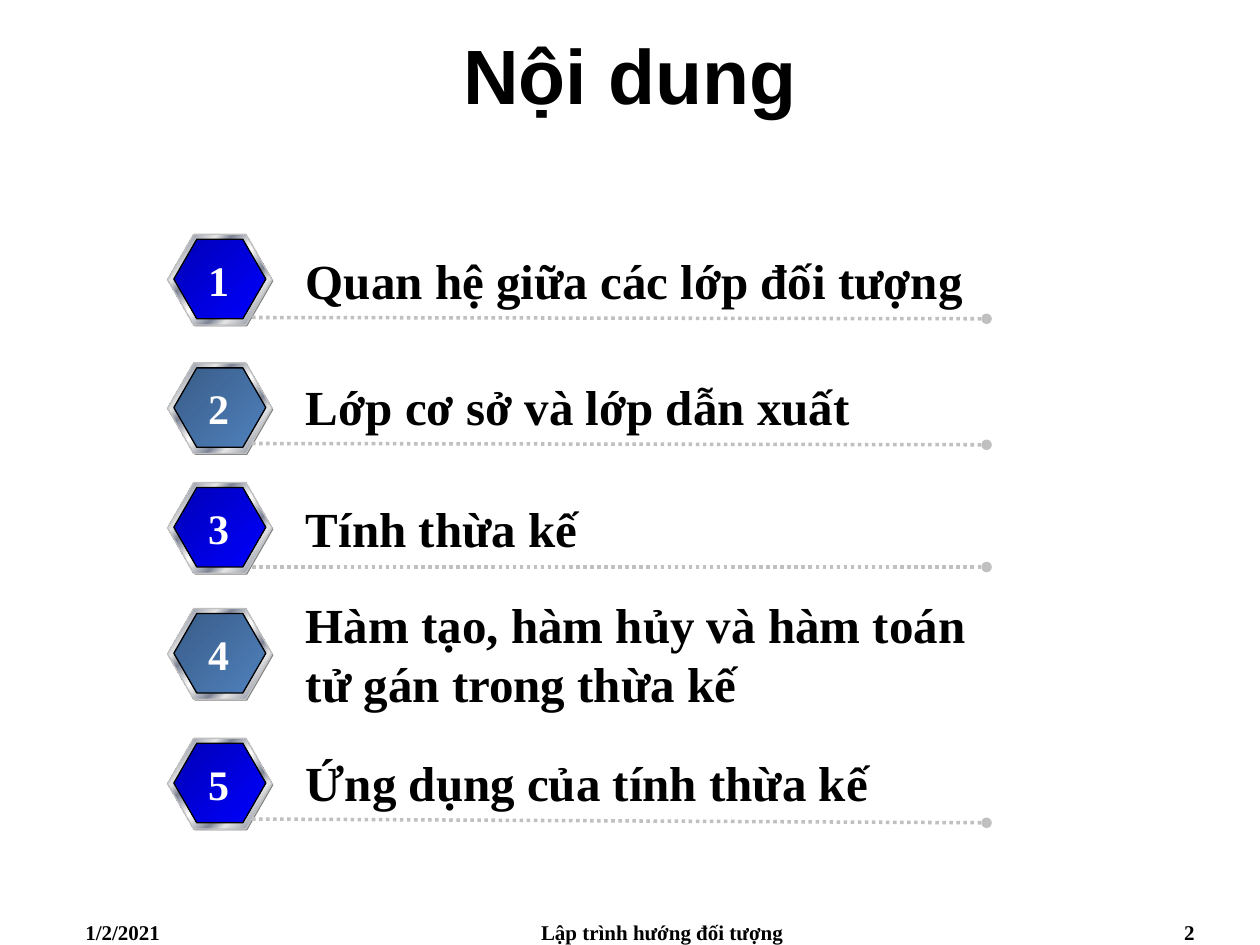
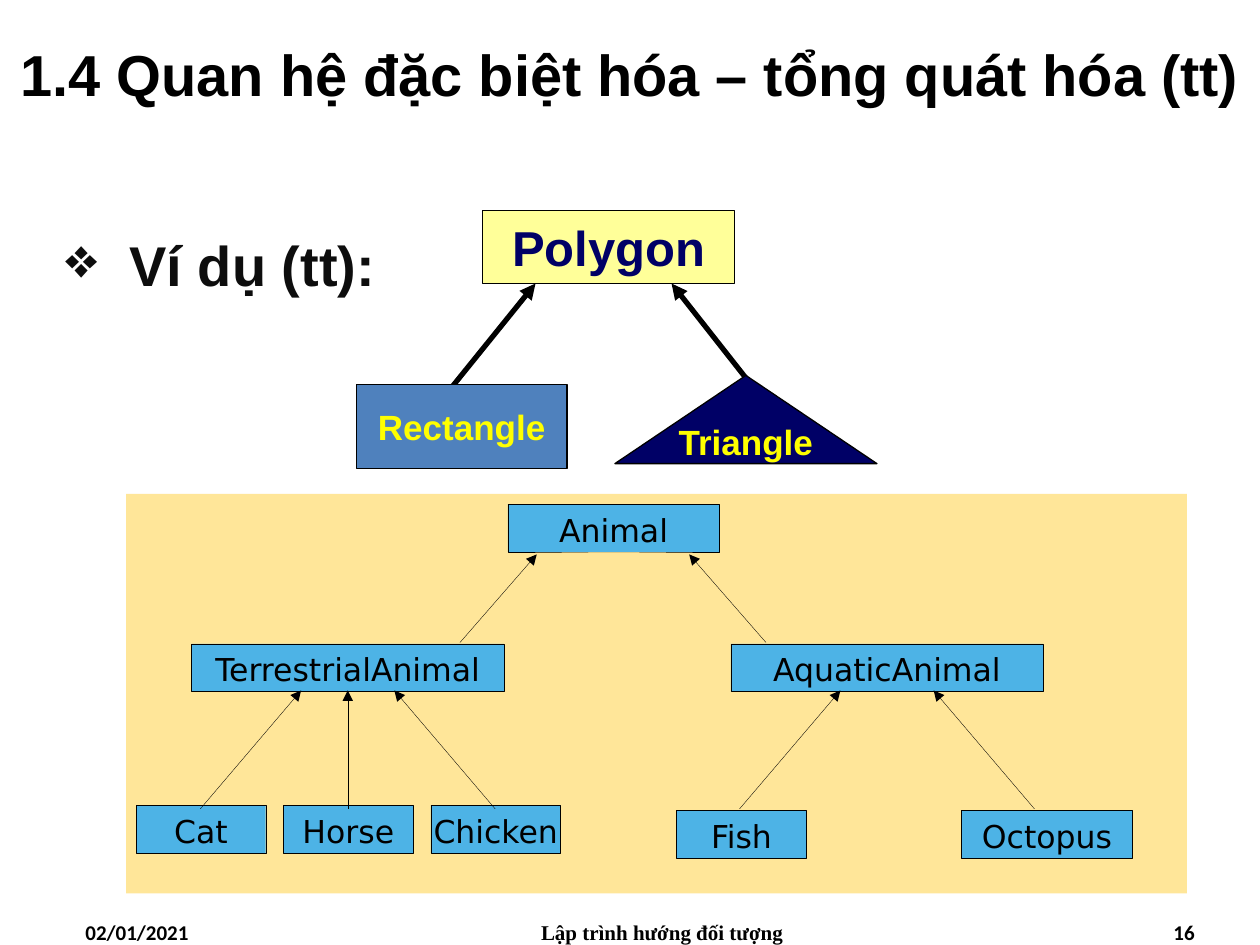
from typing import NamedTuple, Optional

from lxml import etree
from pptx import Presentation
from pptx.dml.color import RGBColor
from pptx.enum import dml, shapes, text
from pptx.oxml import ns
from pptx.util import Inches, Pt

BLACK = RGBColor(0x00, 0x00, 0x00)
WHITE = RGBColor(0xFF, 0xFF, 0xFF)
INK = RGBColor(0x0D, 0x0D, 0x0D)
GREY = RGBColor(0x80, 0x80, 0x80)
SILVER = RGBColor(0xC0, 0xC0, 0xC0)
PALE = RGBColor(0xE6, 0xE6, 0xE6)
STEEL = RGBColor(0x7D, 0x84, 0x96)
DEEP = RGBColor(0x00, 0x00, 0xB6)
BLUE = RGBColor(0x00, 0x00, 0xFF)
SLATE = RGBColor(0x39, 0x5C, 0x87)
AZURE = RGBColor(0x4F, 0x81, 0xBD)
NAVY = RGBColor(0x00, 0x00, 0x66)
LEMON = RGBColor(0xFF, 0xFF, 0x99)
YELLOW = RGBColor(0xFF, 0xFF, 0x00)
SAND = RGBColor(0xFF, 0xE6, 0x99)
SKY = RGBColor(0x4D, 0xB3, 0xE6)

SERIF, SANS, PLAIN, CODE = "Times New Roman", "Arial", "Calibri", "DejaVu Sans"
METAL = [(0, PALE), (7, STEEL), (26, PALE), (34, STEEL), (46, PALE), (50, WHITE),
         (54, PALE), (66, STEEL), (74, PALE), (93, STEEL), (100, PALE)]
ROYAL = [(0, DEEP), (100, BLUE)]
DUSK = [(0, SLATE), (100, AZURE)]
COURSE = "Lập trình hướng đối tượng"
LEFT, MID, RIGHT = text.PP_ALIGN.LEFT, text.PP_ALIGN.CENTER, text.PP_ALIGN.RIGHT
TOP, CORE = text.MSO_ANCHOR.TOP, text.MSO_ANCHOR.MIDDLE
FORM = shapes.MSO_SHAPE


class Box(NamedTuple):
    x: float
    y: float
    w: float
    h: float


class Font(NamedTuple):
    name: str
    size: float
    color: RGBColor = BLACK
    bold: bool = True


class Topic(NamedTuple):
    label: str
    top: float
    wide: float
    high: float
    hex_top: float
    rule: Optional[tuple[float, float]]


class Block(NamedTuple):
    label: str
    box: Box
    form: FORM
    fill: RGBColor
    font: Font


class Node(NamedTuple):
    label: str
    x: float
    y: float
    w: float


class Link(NamedTuple):
    x1: float
    y1: float
    x2: float
    y2: float


TOPICS = [
    Topic("Quan hệ giữa các lớp đối tượng", 1.94, 5.5, 0.57, 1.86, (2.52, 2.53)),
    Topic("Lớp cơ sở và lớp dẫn xuất", 2.94, 4.92, 0.57, 2.88, (3.52, 3.53)),
    Topic("Tính thừa kế", 3.91, 4.92, 0.57, 3.83, (4.5, 4.5)),
    Topic("Hàm tạo, hàm hủy và hàm toán tử gán trong thừa kế", 4.67, 5.83, 1.04, 4.83, None),
    Topic("Ứng dụng của tính thừa kế", 5.92, 4.92, 0.57, 5.86, (6.5, 6.53)),
]
CHILD = Font(SANS, 20, YELLOW)
BLOCKS = [
    Block("Triangle", Box(4.88, 2.98, 2.08, 0.7), FORM.ISOSCELES_TRIANGLE, NAVY, CHILD),
    Block("Polygon", Box(3.83, 1.67, 2, 0.58), FORM.RECTANGLE, LEMON, Font(SANS, 28, NAVY)),
    Block("Rectangle", Box(2.83, 3.05, 1.67, 0.67), FORM.RECTANGLE, AZURE, CHILD),
]
BOLD_LINKS = [Link(3.58, 3.08, 4.25, 2.25), Link(5.92, 3, 5.33, 2.25)]
NODES = [
    Node("Animal", 4.03, 4, 1.68),
    Node("TerrestrialAnimal", 1.52, 5.11, 2.48),
    Node("AquaticAnimal", 5.8, 5.11, 2.48),
    *[Node(name, 1.08 + 1.17 * i, 6.39, 1.03)
      for i, name in enumerate(("Cat", "Horse", "Chicken"))],
    Node("Fish", 5.37, 6.43, 1.03),
    Node("Octopus", 7.63, 6.43, 1.36),
]
THIN_LINKS = [
    Link(3.65, 5.1, 4.26, 4.4), Link(6.08, 5.1, 5.47, 4.4),
    *[Link(a, 6.42, b, 5.48) for a, b in
      ((2.76, 2.76), (1.59, 2.39), (3.93, 3.13), (5.87, 6.67), (8.21, 7.41))],
]


def put(shape, label: str, font: Font, align=LEFT, anchor=TOP, wrap: bool = True):
    frame = shape.text_frame
    frame.word_wrap = wrap
    frame.vertical_anchor = anchor
    para = frame.paragraphs[0]
    para.alignment = align
    run = para.add_run()
    run.text = label
    run.font.name = font.name
    run.font.size = Pt(font.size)
    run.font.bold = font.bold
    run.font.color.rgb = font.color
    return para


def write(slide, box: Box, label: str, font: Font, align=LEFT, anchor=TOP, wrap: bool = True):
    area = slide.shapes.add_textbox(*map(Inches, box))
    return put(area, label, font, align, anchor, wrap)


def draw(slide, form: FORM, box: Box, fill, edge: Optional[RGBColor] = None, width: float = 0.75):
    shape = slide.shapes.add_shape(form, *map(Inches, box))
    shape.shadow.inherit = False
    if isinstance(fill, list):
        blend(shape, fill)
    else:
        shape.fill.solid()
        shape.fill.fore_color.rgb = fill
    if edge is None:
        shape.line.fill.background()
    else:
        shape.line.color.rgb = edge
        shape.line.width = Pt(width)
    return shape


def blend(shape, stops: list[tuple[int, RGBColor]]) -> None:
    shape.fill.gradient()
    shape.fill.gradient_angle = 315
    items = shape.element.spPr.find(".//" + ns.qn("a:gsLst"))
    for item in list(items):
        items.remove(item)
    for place, color in stops:
        stop = etree.SubElement(items, ns.qn("a:gs"), pos=str(place * 1000))
        etree.SubElement(stop, ns.qn("a:srgbClr"), val=str(color))


def join(slide, link: Link, color: RGBColor, width: float, tip: str, dash=None) -> None:
    line = slide.shapes.add_connector(shapes.MSO_CONNECTOR.STRAIGHT, *map(Inches, link))
    line.line.color.rgb = color
    line.line.width = Pt(width)
    if dash is not None:
        line.line.dash_style = dash
    etree.SubElement(line.line._get_or_add_ln(), ns.qn("a:tailEnd"), type=tip)
    etree.SubElement(line.element.spPr, ns.qn("a:effectLst"))


def start(deck, title: str, size: float, date: str, page: str, face: str):
    slide = deck.slides.add_slide(deck.slide_layouts[6])
    write(slide, Box(0, 0, 10, 1.17), title, Font(SANS, size), MID, CORE)
    write(slide, Box(0.58, 7.25, 2.33, 0.25), date, Font(face, 12))
    write(slide, Box(3.67, 7.25, 3.17, 0.25), COURSE, Font(SERIF, 12), MID)
    write(slide, Box(7.25, 7.25, 2.33, 0.25), page, Font(face, 12), RIGHT)
    return slide


def badge(slide, top: float, label: str, stops: list[tuple[int, RGBColor]]) -> None:
    layers = [
        (Box(1.34, top + 0.01, 0.83, 0.72), GREY, None),
        (Box(1.33, top, 0.83, 0.72), METAL, SILVER),
        (Box(1.38, top + 0.04, 0.73, 0.63), stops, BLACK),
    ]
    for box, fill, edge in layers:
        cell = draw(slide, FORM.HEXAGON, box, fill, edge)
        cell.adjustments[0] = 0.289
        cell.adjustments[1] = 1.155
    write(slide, Box(1.55, top + 0.11, 0.37, 0.5), label, Font(SERIF, 24, WHITE), MID, wrap=False)


def outline(deck) -> None:
    slide = start(deck, "Nội dung", 44, "1/2/2021", "2", SERIF)
    for count, topic in enumerate(TOPICS, 1):
        badge(slide, topic.hex_top, str(count), ROYAL if count % 2 else DUSK)
        if topic.rule:
            y1, y2 = topic.rule
            join(slide, Link(2, y1, 7.83, y2), SILVER, 2, "oval", dml.MSO_LINE.ROUND_DOT)
        write(slide, Box(2.33, topic.top, topic.wide, topic.high), topic.label, Font(SERIF, 28))


def bullet(slide) -> None:
    para = write(slide, Box(0.42, 1.62, 9.17, 0.83), "Ví dụ (tt):", Font(SANS, 32, INK),
                 text.PP_ALIGN.JUSTIFY)
    para.line_spacing = 1.3
    para.space_after = Pt(3)
    props = para._p.get_or_add_pPr()
    props.set("marL", str(Inches(0.51)))
    props.set("indent", str(-Inches(0.51)))
    etree.SubElement(props, ns.qn("a:buChar"), char="❖")


def tree(slide) -> None:
    draw(slide, FORM.RECTANGLE, Box(1, 3.92, 8.42, 3.17), SAND)
    for node in NODES:
        cell = draw(slide, FORM.RECTANGLE, Box(node.x, node.y, node.w, 0.38), SKY, BLACK, 0.2)
        para = put(cell, node.label, Font(CODE, 18, bold=False), MID, wrap=False)
        para.line_spacing = 0.8
        frame = cell.text_frame
        frame.margin_left = frame.margin_right = frame.margin_bottom = 0
        frame.margin_top = Inches(0.11)
    for link in THIN_LINKS:
        join(slide, link, BLACK, 0.2, "triangle")


def sample(deck) -> None:
    slide = start(deck, "1.4 Quan hệ đặc biệt hóa – tổng quát hóa (tt)", 33,
                  "02/01/2021", "16", PLAIN)
    bullet(slide)
    for link in BOLD_LINKS:
        join(slide, link, BLACK, 3, "triangle")
    for block in BLOCKS:
        shape = draw(slide, block.form, block.box, block.fill, BLACK)
        put(shape, block.label, block.font, MID, CORE, False)
    tree(slide)


def main() -> None:
    deck = Presentation()
    deck.slide_width, deck.slide_height = Inches(10), Inches(7.5)
    outline(deck)
    sample(deck)
    deck.save("out.pptx")


if __name__ == "__main__":
    main()
